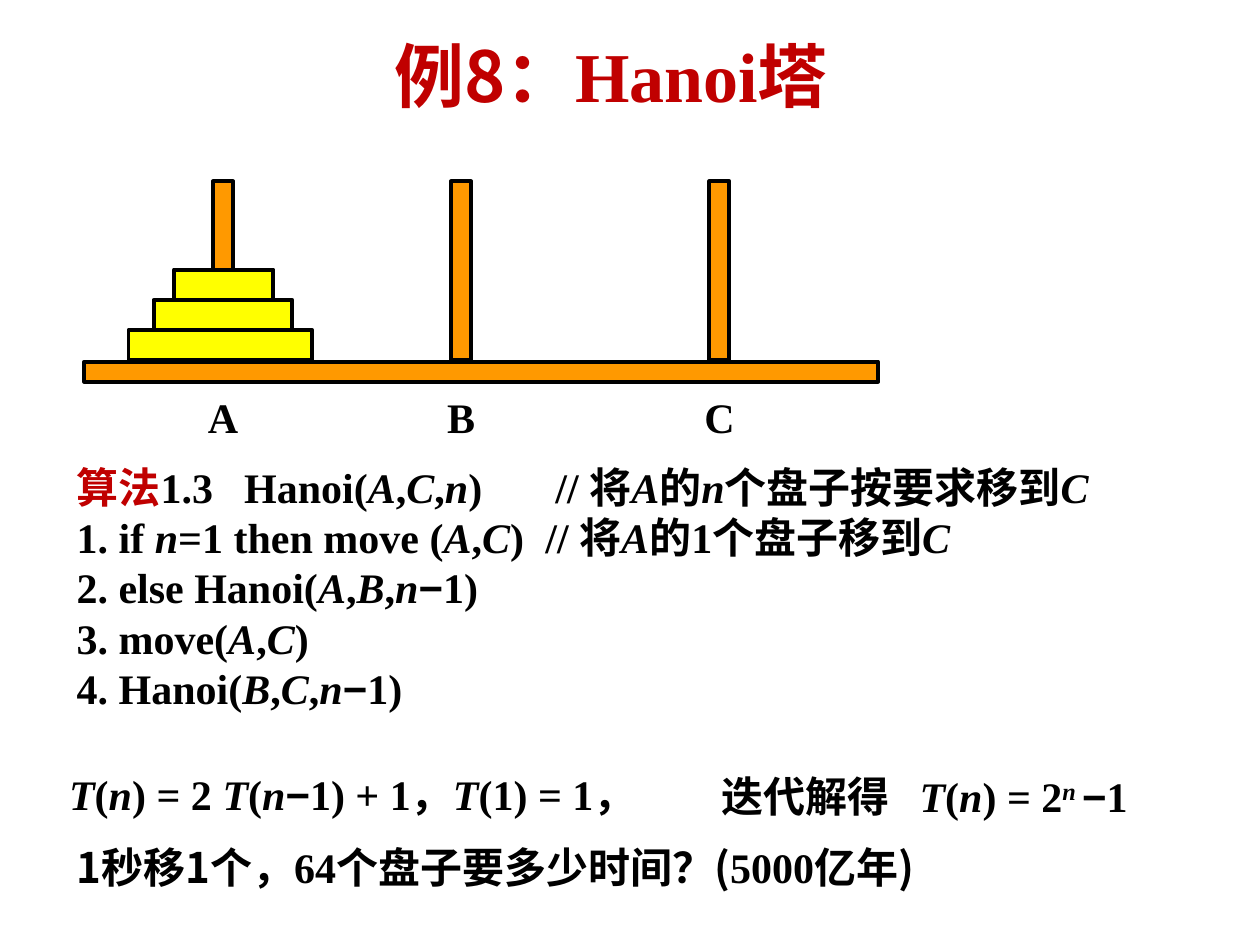
from dataclasses import dataclass
from itertools import groupby
from typing import Any

from lxml import etree
from pptx import Presentation
from pptx import util as u
from pptx.dml import color
from pptx.enum import shapes, text
from pptx.oxml import ns

MARKS = "*^~#"


def rgb(value):
    return color.RGBColor.from_string(value)


def styled_pieces(marked):
    active = dict.fromkeys(MARKS, False)
    characters = []
    for character in marked:
        if character in MARKS:
            active[character] = not active[character]
        else:
            style = (*active.values(), character == "−")
            characters.append((character, style))
    for style, group in groupby(characters, key=lambda item: item[1]):
        yield "".join(character for character, _ in group), style


@dataclass
class HanoiSlide:
    slide: Any
    serif: str = "Times New Roman"
    sans: str = "Noto Sans CJK SC"
    minus: str = "Arial"
    ink: str = "000000"
    accent: str = "C00000"
    wood: str = "FF9900"
    disc: str = "FFFF00"

    def bar(self, left, top, width, height, fill):
        shape = self.slide.shapes.add_shape(
            shapes.MSO_SHAPE.RECTANGLE,
            u.Inches(left), u.Inches(top), u.Inches(width), u.Inches(height))
        shape.shadow.inherit = False
        shape.fill.solid()
        shape.fill.fore_color.rgb = rgb(fill)
        shape.line.color.rgb = rgb(self.ink)
        shape.line.width = u.Pt(2.25)

    def add_runs(self, paragraph, marked, size):
        for piece, (italic, raised, sans, accent, minus) in styled_pieces(marked):
            run = paragraph.add_run()
            run.text = piece
            font = run.font
            font.size = u.Pt(size)
            font.bold = True
            font.italic = italic
            font.name = self.minus if minus else self.sans if sans else self.serif
            font.color.rgb = rgb(self.accent if accent else self.ink)
            properties = run.font._element
            etree.SubElement(properties, ns.qn("a:ea"), typeface=self.sans)
            if raised:
                properties.set("baseline", "30000")

    def set_tabs(self, paragraph, stops):
        properties = paragraph._p.get_or_add_pPr()
        tab_list = etree.SubElement(properties, ns.qn("a:tabLst"))
        for stop in stops:
            etree.SubElement(tab_list, ns.qn("a:tab"),
                             pos=str(u.Inches(stop)), algn="l")

    def text_box(self, left, top, width, height, lines, size=24, centred=False):
        shape = self.slide.shapes.add_textbox(
            u.Inches(left), u.Inches(top), u.Inches(width), u.Inches(height))
        frame = shape.text_frame
        frame.word_wrap = True
        for index, (marked, *stops) in enumerate(lines):
            paragraph = frame.add_paragraph() if index else frame.paragraphs[0]
            if centred:
                paragraph.alignment = text.PP_ALIGN.CENTER
            if stops:
                self.set_tabs(paragraph, stops)
            self.add_runs(paragraph, marked, size)


def main():
    presentation = Presentation()
    presentation.slide_width = u.Inches(10)
    presentation.slide_height = u.Inches(7.5)
    hanoi = HanoiSlide(presentation.slides.add_slide(presentation.slide_layouts[6]))

    hanoi.text_box(3.03, 0.21, 4.25, 0.77, [("#~例8：~Hanoi塔#",)], size=40)

    hanoi.bar(0.67, 2.87, 6.3, 0.16, hanoi.wood)
    peg_width, label_width = 0.16, 0.6
    for name, left in (("A", 1.69), ("B", 3.58), ("C", 5.63)):
        hanoi.bar(left, 1.44, peg_width, 1.42, hanoi.wood)
        label_left = left + (peg_width - label_width) / 2
        hanoi.text_box(label_left, 3.06, label_width, 0.5, [(name,)], centred=True)

    disc_height = 0.24
    for level, (left, width) in enumerate(((1.02, 1.46), (1.22, 1.1), (1.38, 0.79))):
        hanoi.bar(left, 2.62 - level * disc_height, width, disc_height, hanoi.disc)

    hanoi.text_box(0.51, 3.61, 8.58, 2.5, [
        ("#算法#1.3\tHanoi(*A*,*C*,*n*)\t// 将*A*的*n*个盘子按要求移到*C*", 1.33, 3.8),
        ("1. if *n*=1 then move (*A*,*C*)\t// 将*A*的1个盘子移到*C*", 3.72),
        ("2. else Hanoi(*A*,*B*,*n*−1)",),
        ("3. move(*A*,*C*)",),
        ("4. Hanoi(*B*,*C*,*n*−1)",),
    ])
    hanoi.text_box(0.45, 6.05, 5.18, 0.5,
                   [("*T*(*n*) = 2 *T*(*n*−1) + 1，*T*(1) = 1，",)])
    hanoi.text_box(5.63, 6.07, 4.17, 0.5,
                   [("迭代解得\t*T*(*n*) = 2*^n ^*−1", 1.57)])
    hanoi.text_box(0.51, 6.63, 7.64, 0.5,
                   [("~1秒移1个，~64~个盘子要多少时间？(~5000~亿年)~",)])

    presentation.save("out.pptx")


if __name__ == "__main__":
    main()
